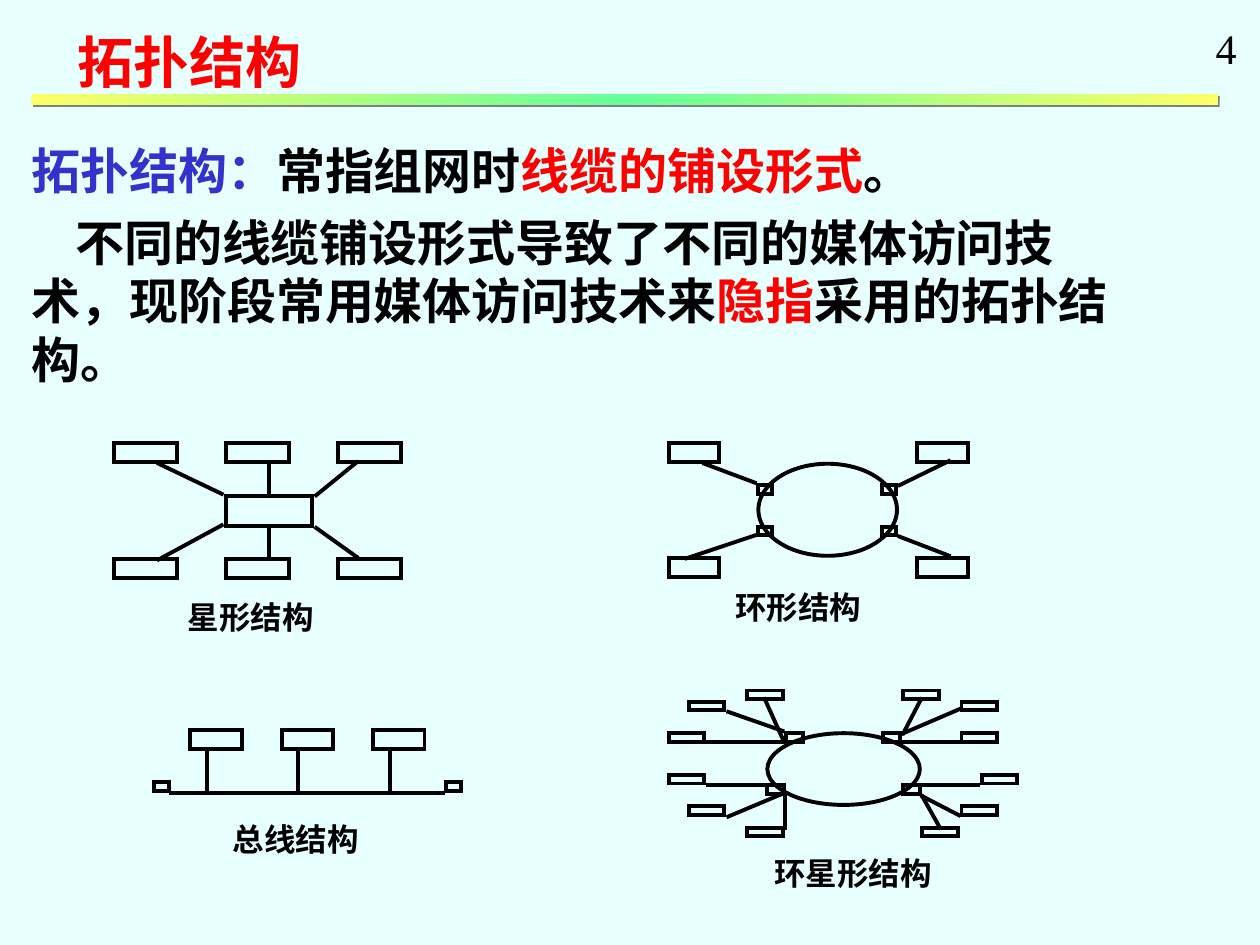
from itertools import product

from lxml.etree import SubElement
from pptx import Presentation
from pptx.dml.color import RGBColor
from pptx.enum.shapes import MSO_CONNECTOR, MSO_SHAPE
from pptx.enum.text import MSO_ANCHOR, MSO_AUTO_SIZE, PP_ALIGN
from pptx.oxml import parse_xml
from pptx.oxml.ns import nsdecls, qn
from pptx.util import Pt

BLACK = RGBColor(0x00, 0x00, 0x00)
RED = RGBColor(0xFF, 0x00, 0x00)
BLUE = RGBColor(0x33, 0x33, 0xCC)
YELLOW = RGBColor(0xFF, 0xFF, 0x66)
GREEN = RGBColor(0x66, 0xFF, 0x99)
GRAY = RGBColor(0x80, 0x80, 0x80)
PALE_CYAN = RGBColor(0xE7, 0xFF, 0xFF)

CHINESE = "Noto Sans CJK SC"
LATIN = "Times New Roman"
LINE_WIDTH = 2.25
TOP, BOTTOM = 0, 2
RECT, OVAL = MSO_SHAPE.RECTANGLE, MSO_SHAPE.OVAL


def set_frame(shape, wrap=True):
    formats = {
        "word_wrap": wrap,
        "auto_size": MSO_AUTO_SIZE.NONE,
        "vertical_anchor": MSO_ANCHOR.TOP,
        "margin_left": Pt(7.2),
        "margin_right": Pt(7.2),
        "margin_top": Pt(3.6),
        "margin_bottom": Pt(3.6),
    }
    for name, value in formats.items():
        setattr(shape.text_frame, name, value)


def place(shape, left, top, width, height):
    for name, value in zip(("left", "top", "width", "height"), (left, top, width, height)):
        setattr(shape, name, Pt(value))


def write(paragraph, runs, size, font=CHINESE, bold=True, indent=0, before=0):
    """Fill a paragraph with (text, colour) runs, without bullet or hanging punctuation."""
    formats = {
        "alignment": PP_ALIGN.LEFT,
        "line_spacing": Pt(size * 1.2),
        "space_before": Pt(before),
    }
    for name, value in formats.items():
        setattr(paragraph, name, value)
    properties = paragraph._p.get_or_add_pPr()
    for name, value in {"marL": 0, "indent": Pt(indent), "hangingPunct": 0}.items():
        properties.set(name, str(value))
    SubElement(properties, qn("a:buNone"))
    for text, color in runs:
        run = paragraph.add_run()
        run.text = text
        for name, value in {"name": font, "size": Pt(size), "bold": bold}.items():
            setattr(run.font, name, value)
        run.font.color.rgb = color
        SubElement(run._r.get_or_add_rPr(), qn("a:ea"), typeface=font)


def add_label(shapes, text, left, top, width, height=28.8, size=18, **formats):
    label = shapes.add_textbox(Pt(left), Pt(top), Pt(width), Pt(height))
    set_frame(label, wrap=False)
    write(label.text_frame.paragraphs[0], [(text, BLACK)], size, **formats)


def draw_line(shape):
    """Give a shape a black line with square ends and sharp corners."""
    shape.line.color.rgb = BLACK
    shape.line.width = Pt(LINE_WIDTH)
    line = shape._element.spPr.find(qn("a:ln"))
    line.set("cap", "sq")
    SubElement(line, qn("a:miter"), lim="800000")


def add_outline(shapes, kind, left, top, width, height):
    shape = shapes.add_shape(kind, Pt(left), Pt(top), Pt(width), Pt(height))
    shape.shadow.inherit = False
    shape.fill.background()
    draw_line(shape)
    return shape


def add_boxes(shapes, positions, width, height):
    for left, top in positions:
        add_outline(shapes, RECT, left, top, width, height)


def add_cable(shapes, x1, y1, x2, y2):
    cable = shapes.add_connector(MSO_CONNECTOR.STRAIGHT, Pt(x1), Pt(y1), Pt(x2), Pt(y2))
    draw_line(cable)
    SubElement(cable._element.spPr, qn("a:effectLst"))
    return cable


def add_cables(shapes, ends):
    for points in ends:
        add_cable(shapes, *points)


def add_title_bar(shapes):
    bar = shapes.add_shape(RECT, Pt(18), Pt(54), Pt(678), Pt(6))
    bar.line.fill.background()
    stops = "".join(
        f'<a:gs pos="{position}"><a:srgbClr val="{color}"/></a:gs>'
        for position, color in ((0, YELLOW), (50000, GREEN), (100000, YELLOW))
    )
    properties = bar._element.spPr
    properties.insert(2, parse_xml(
        f'<a:gradFill {nsdecls("a")} rotWithShape="1"><a:gsLst>{stops}</a:gsLst>'
        '<a:lin ang="13500000" scaled="1"/></a:gradFill>'))
    properties.append(parse_xml(
        f'<a:effectLst {nsdecls("a")}><a:outerShdw dist="{Pt(1.4)}" dir="2700000" algn="ctr">'
        f'<a:srgbClr val="{GRAY}"/></a:outerShdw></a:effectLst>'))


def add_star(shapes):
    hub = add_outline(shapes, RECT, 129.2, 283.2, 49, 17.3)
    columns = [65.2 + 64 * i for i in range(3)]
    add_boxes(shapes, product(columns, (253, 319.7)), 36, 10.8)
    for site, hub_y, station_y in ((TOP, 283.2, 265), (BOTTOM, 300.5, 318.2)):
        add_cable(shapes, 153.7, station_y, 153.7, hub_y).end_connect(hub, site)
    add_cables(shapes, [
        (90.7, 265, 126.7, 282.2), (180.7, 283, 203.8, 264.2),
        (180.7, 301.7, 203.8, 318.2), (90.7, 319.7, 126.7, 300.2),
    ])
    add_label(shapes, "星形结构", 100.1, 338.4, 86.4)


def add_bus(shapes):
    add_cable(shapes, 97.9, 452.9, 253.4, 452.9)
    add_boxes(shapes, [(87.8, 447.1), (254.9, 447.1)], 8.6, 5)
    columns = [108.7 + 52.2 * i for i in range(3)]
    add_boxes(shapes, [(left, 417.4) for left in columns], 29.5, 10.8)
    add_cables(shapes, [(left + 9.6, 429.1, left + 9.6, 452.2) for left in columns])
    add_label(shapes, "总线结构", 126, 465.1, 86.4)


def add_ring(shapes):
    add_outline(shapes, OVAL, 433.4, 265, 79.2, 52.6)
    add_boxes(shapes, product((433.4, 504), (277.2, 301)), 7.9, 5)
    add_boxes(shapes, product((382.3, 524.2), (253, 319)), 28.8, 10.8)
    add_cables(shapes, [
        (402.5, 265, 431.3, 275.8), (392.4, 319, 431.3, 306),
        (514.1, 277.2, 542.2, 263.5), (514.1, 306.7, 542.2, 317.5),
    ])
    add_label(shapes, "环形结构", 413, 332.6, 86.4)


def add_star_ring(shapes):
    add_outline(shapes, OVAL, 438.5, 419, 87.1, 41)
    add_boxes(shapes, [(449.3, 419), (504.7, 419), (438.5, 448.6), (516.2, 448.6)], 9.4, 5)
    add_boxes(shapes, [
        (393.8, 401), (382.3, 419), (549.4, 401), (549.4, 419),
        (382.3, 442.8), (393.8, 460.8), (427, 473), (560.9, 442.8), (549.4, 460.8),
    ], 20.2, 5)
    add_cables(shapes, [
        (416.2, 406.8, 447.1, 417.6), (404.6, 424.1, 447.8, 424.1),
        (516.2, 419, 547.9, 405.4), (516.2, 424.1, 547.9, 424.1),
        (404.6, 448.6, 436.3, 448.6), (416.2, 466.6, 447.1, 453.6),
        (448.6, 473, 448.6, 453.6),
        (527, 448.6, 558.7, 448.6), (527, 455, 547.9, 465.8),
    ])
    linked = [(427, 394.6, BOTTOM, 447.8, 423.4), (516.2, 394.6, BOTTOM, 516.2, 419),
              (527, 473, TOP, 527, 455)]
    for left, top, site, node_x, node_y in linked:
        station = add_outline(shapes, RECT, left, top, 20.2, 5)
        add_cable(shapes, node_x, node_y, left, top).end_connect(station, site)
    add_label(shapes, "环星形结构", 435.2, 484.6, 104.4)


def main():
    presentation = Presentation()
    presentation.slide_width, presentation.slide_height = Pt(720), Pt(540)
    slide = presentation.slides.add_slide(presentation.slide_layouts[1])
    slide.background.fill.solid()
    slide.background.fill.fore_color.rgb = PALE_CYAN

    for add_diagram in (add_star, add_bus, add_ring, add_star_ring):
        add_diagram(slide.shapes.add_group_shape().shapes)
    add_title_bar(slide.shapes)
    add_label(slide.shapes, "4", 687.6, 9.4, 26, 36, size=24, font=LATIN, bold=False)

    title, body = slide.placeholders
    place(title, 37, 12.2, 220, 46)
    set_frame(title)
    write(title.text_frame.paragraphs[0], [("拓扑结构", RED)], 32)

    place(body, 10.8, 77, 649.4, 150)
    set_frame(body)
    write(body.text_frame.paragraphs[0], [
        ("拓扑结构：", BLUE), ("常指组网时", BLACK), ("线缆的铺设形式", RED), ("。", BLACK),
    ], 28)
    write(body.text_frame.add_paragraph(), [
        ("不同的线缆铺设形式导致了不同的媒体访问技术，现阶段常用媒体访问技术来", BLACK),
        ("隐指", RED), ("采用的拓扑结构。", BLACK),
    ], 28, indent=25, before=7)
    presentation.save("out.pptx")


if __name__ == "__main__":
    main()
